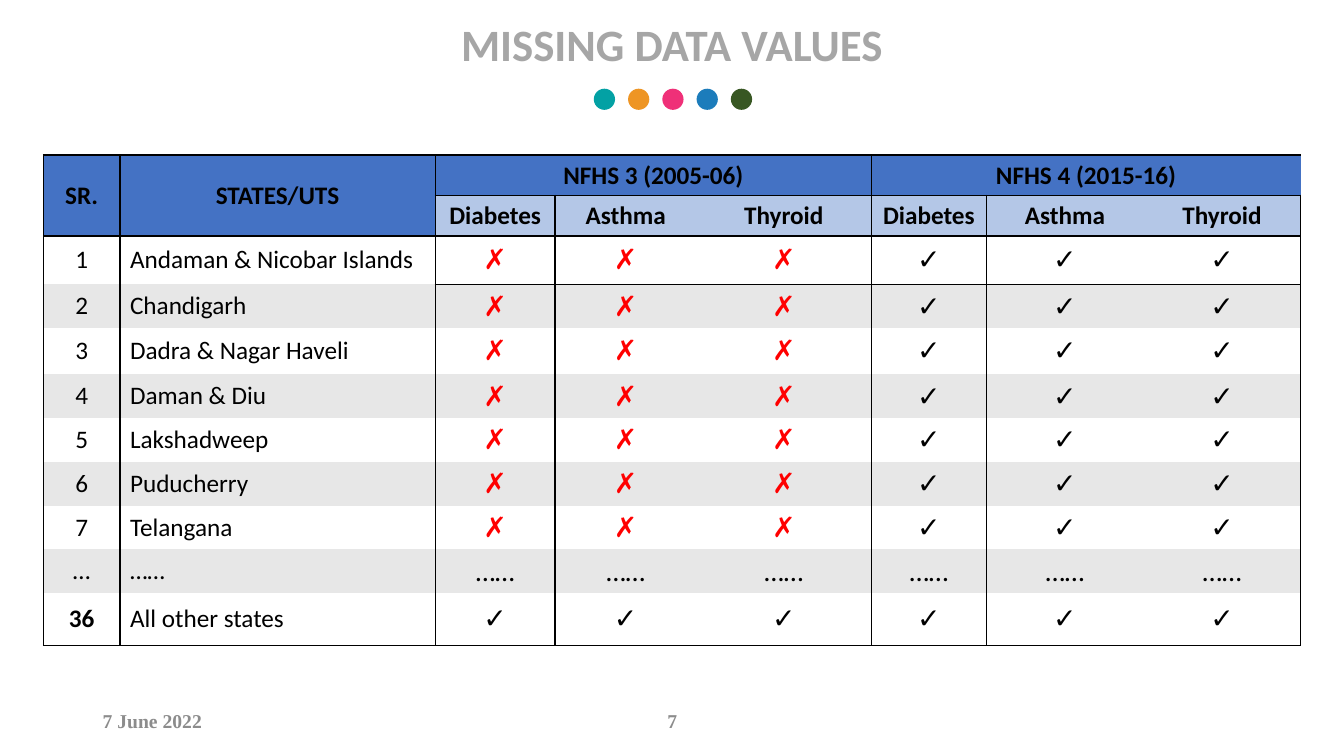
import dataclasses
import typing

import pptx
import pptx.dml.color
import pptx.enum.shapes
import pptx.enum.text
import pptx.oxml.ns
import pptx.util
from lxml import etree

Align = pptx.enum.text.PP_ALIGN
Middle = pptx.enum.text.MSO_ANCHOR.MIDDLE


@dataclasses.dataclass(frozen=True)
class Theme:
    """Colours, fonts and type sizes of the slide."""
    body_font: str = "Calibri"
    footer_font: str = "Times New Roman"
    title_size: int = 32
    mark_size: int = 20
    table_size: int = 18
    footer_size: int = 14
    title: str = "A6A6A6"
    footer: str = "8C8C8C"
    ink: str = "000000"
    missing: str = "FF0000"
    header: str = "4472C4"
    subheader: str = "B4C7E7"
    bands: tuple[str, str] = ("FFFFFF", "E7E7E7")
    dots: tuple[str, ...] = ("03A1A4", "EE9524", "EF3078", "1C7CBB", "385723")


@dataclasses.dataclass(frozen=True)
class Area:
    """A rectangle in percent of the slide's width and height."""
    left: float
    top: float
    width: float
    height: float

    def box(self) -> tuple[int, int, int, int]:
        """Return the rectangle in slide units."""
        return (int(WIDTH * self.left / 100), int(HEIGHT * self.top / 100),
                int(WIDTH * self.width / 100), int(HEIGHT * self.height / 100))


class StateRow(typing.NamedTuple):
    """A state with its marks in the earlier and the later survey."""
    number: str
    name: str
    earlier: str
    later: str


class Style(typing.NamedTuple):
    """The look of one piece of text."""
    font: str
    size: int
    colour: str
    bold: bool
    align: typing.Any = Align.CENTER


THEME = Theme()
WIDTH, HEIGHT = pptx.util.Inches(13.33), pptx.util.Inches(7.5)
TITLE_AREA = Area(0, 2, 100, 8.53)
DATE_AREA = Area(6.9, 92.67, 22.5, 5.33)
NUMBER_AREA = Area(38.78, 92.67, 22.5, 5.33)
TABLE_AREA = Area(3.23, 20.53, 93.55, 63.33)
FIRST_DOT = Area(44.18, 11.73, 1.58, 2.8)
DOT_PITCH = 2.55

COLUMN_SHARES = (0.76, 3.13, 1.19, 1.4, 1.74, 1.14, 1.56, 1.56)
ROW_SHARES = (0.38, 0.38, 0.48, 0.43, 0.46, 0.43, 0.43, 0.43, 0.43, 0.38, 0.52)
VERTICAL_RULES = {0: 1, 1: 1, 2: 1, 3: 1.5, 5: 1.5, 6: 1, 8: 1}
HORIZONTAL_RULES = {0: 1.5, 1: 1.5, 2: 1.5, 3: 1, len(ROW_SHARES): 1.5}
SURVEY_RULES = (1, 3)
SURVEY_STARTS = (2, 5)

MISSING, PRESENT, MORE = "✗", "✓", "……"
CONDITIONS = ("Diabetes", "Asthma", "Thyroid")
HEADER = ("SR.", "STATES/UTS", "NFHS 3 (2005-06)", "", "", "NFHS 4 (2015-16)", "", "")
MISSING_STATES = ("Andaman & Nicobar Islands", "Chandigarh", "Dadra & Nagar Haveli",
                  "Daman & Diu", "Lakshadweep", "Puducherry", "Telangana")
STATES = (
    *(StateRow(str(number), name, MISSING, PRESENT)
      for number, name in enumerate(MISSING_STATES, 1)),
    StateRow("…", MORE, MORE, MORE),
    StateRow("36", "All other states", PRESENT, PRESENT),
)


def colour(value: str) -> pptx.dml.color.RGBColor:
    """Turn a hexadecimal value into a colour."""
    return pptx.dml.color.RGBColor.from_string(value)


def write(frame: typing.Any, text: str, style: Style) -> None:
    """Put one styled paragraph into a text frame."""
    frame.text = text
    paragraph = frame.paragraphs[0]
    paragraph.alignment = style.align
    paragraph.font.name = style.font
    paragraph.font.size = pptx.util.Pt(style.size)
    paragraph.font.bold = style.bold
    paragraph.font.color.rgb = colour(style.colour)


def add_title(slide: typing.Any, text: str) -> None:
    """Place and format the title placeholder."""
    title = slide.shapes.title
    title.left, title.top, title.width, title.height = TITLE_AREA.box()
    title.text_frame.vertical_anchor = Middle
    write(title.text_frame, text, Style(THEME.body_font, THEME.title_size, THEME.title, True))
    title.text_frame.paragraphs[0].line_spacing = 0.9


def add_dots(slide: typing.Any) -> None:
    """Draw the row of coloured dots under the title."""
    for index, fill in enumerate(THEME.dots):
        area = dataclasses.replace(FIRST_DOT, left=FIRST_DOT.left + index * DOT_PITCH)
        dot = slide.shapes.add_shape(pptx.enum.shapes.MSO_SHAPE.OVAL, *area.box())
        dot.shadow.inherit = False
        dot.fill.solid()
        dot.fill.fore_color.rgb = colour(fill)
        dot.line.fill.background()


def add_footer(slide: typing.Any, area: Area, text: str, align: typing.Any) -> None:
    """Add one footer text."""
    frame = slide.shapes.add_textbox(*area.box()).text_frame
    frame.word_wrap = True
    frame.vertical_anchor = Middle
    write(frame, text, Style(THEME.footer_font, THEME.footer_size, THEME.footer, True, align))


def rule_width(rules: dict[int, float], edge: int, drawn: bool) -> float:
    """Return the width of a table rule, or zero where there is none."""
    return rules.get(edge, 0) if drawn else 0


def set_borders(cell: typing.Any, row: int, column: int) -> None:
    """Give a cell the table rules that run along its sides."""
    qualified = pptx.oxml.ns.qn
    widths = {}
    for side, edge in (("L", column), ("R", column + 1)):
        widths[side] = rule_width(VERTICAL_RULES, edge, row > 0 or edge not in (3, 6))
    for side, edge in (("T", row), ("B", row + 1)):
        widths[side] = rule_width(HORIZONTAL_RULES, edge, column > 1 or edge not in SURVEY_RULES)
    properties = cell._tc.get_or_add_tcPr()
    for side, width in widths.items():
        line = etree.SubElement(properties, qualified(f"a:ln{side}"), w=str(pptx.util.Pt(width)))
        if width:
            fill = etree.SubElement(line, qualified("a:solidFill"))
            etree.SubElement(fill, qualified("a:srgbClr"), val=THEME.ink)
        else:
            etree.SubElement(line, qualified("a:noFill"))


def cell_fill(row: int, column: int) -> str:
    """Return the background of a cell."""
    if row < 2:
        return THEME.subheader if row == 1 and column > 1 else THEME.header
    return THEME.bands[row % 2]


def cell_style(row: int, column: int, text: str) -> Style:
    """Return the text style of a cell."""
    return Style(
        THEME.body_font,
        THEME.mark_size if row > 1 and column > 1 else THEME.table_size,
        THEME.missing if text == MISSING else THEME.ink,
        row < 2 or text == STATES[-1].number,
        Align.LEFT if row > 1 and column == 1 else Align.CENTER,
    )


def add_survey_table(slide: typing.Any) -> None:
    """Draw the table of states and surveys."""
    rows = [HEADER, ("", "", *CONDITIONS * 2)]
    rows += [(state.number, state.name, *[state.earlier] * 3, *[state.later] * 3)
             for state in STATES]
    frame = slide.shapes.add_table(len(rows), len(HEADER), *TABLE_AREA.box())
    table = frame.table
    table.first_row = table.horz_banding = False
    width, height = frame.width, frame.height
    for column, share in zip(table.columns, COLUMN_SHARES):
        column.width = int(width * share / sum(COLUMN_SHARES))
    for row, share in zip(table.rows, ROW_SHARES):
        row.height = int(height * share / sum(ROW_SHARES))
    for row, texts in enumerate(rows):
        for column, text in enumerate(texts):
            cell = table.cell(row, column)
            set_borders(cell, row, column)
            cell.fill.solid()
            cell.fill.fore_color.rgb = colour(cell_fill(row, column))
            cell.vertical_anchor = Middle
            write(cell.text_frame, text, cell_style(row, column, text))
    for column in range(2):
        table.cell(0, column).merge(table.cell(1, column))
    for start in SURVEY_STARTS:
        table.cell(0, start).merge(table.cell(0, start + len(CONDITIONS) - 1))


def main() -> None:
    """Build and save the slide."""
    presentation = pptx.Presentation()
    presentation.slide_width, presentation.slide_height = WIDTH, HEIGHT
    slide = presentation.slides.add_slide(presentation.slide_layouts[5])
    add_dots(slide)
    add_title(slide, "MISSING DATA VALUES")
    add_footer(slide, DATE_AREA, "7 June 2022", Align.LEFT)
    add_footer(slide, NUMBER_AREA, "7", Align.CENTER)
    add_survey_table(slide)
    presentation.save("out.pptx")


if __name__ == "__main__":
    main()
